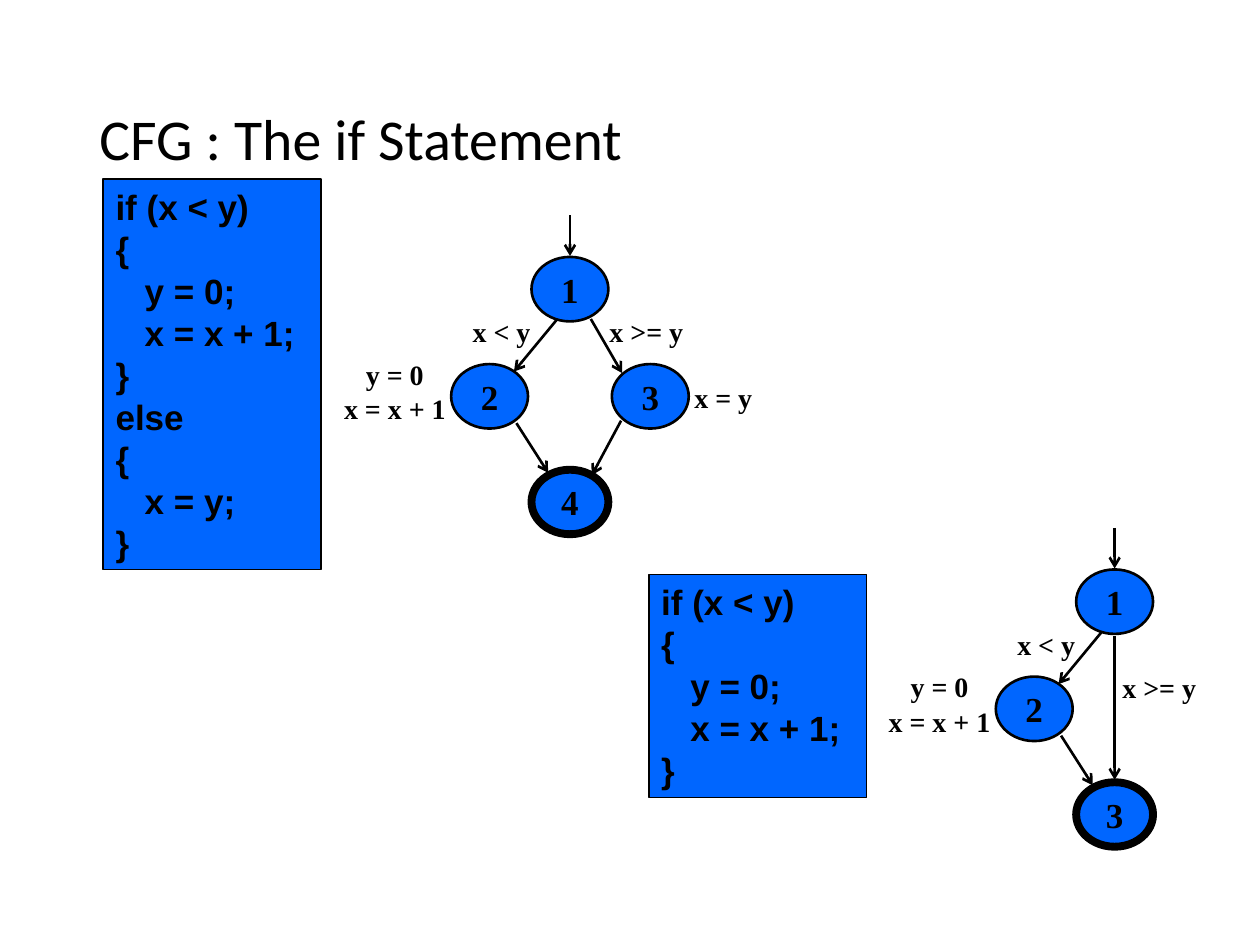
from dataclasses import dataclass

from lxml.etree import SubElement
from pptx import Presentation
from pptx.dml.color import RGBColor
from pptx.enum.shapes import MSO_CONNECTOR as Connector, MSO_SHAPE as Preset
from pptx.enum.text import MSO_ANCHOR as Anchor, MSO_AUTO_SIZE as AutoSize, PP_ALIGN as Align
from pptx.oxml.ns import qn
from pptx.util import Cm, Pt

BLUE = "0066FF"
BLACK = "000000"
SERIF = "Times New Roman"
NODE_WIDTH, NODE_HEIGHT = 1.55, 1.3


@dataclass(frozen=True)
class Node:
    name: str
    x: float
    y: float
    final: bool = False


@dataclass(frozen=True)
class Edge:
    x1: float
    y1: float
    x2: float
    y2: float


@dataclass(frozen=True)
class Label:
    lines: tuple[str, ...]
    x: float
    top: float
    width: float = 2.08
    height: float = 0.94


@dataclass(frozen=True)
class Graph:
    """A flow graph; its parts are placed in cm from the centre of node 1."""
    x: float
    y: float
    nodes: tuple[Node, ...]
    edges: tuple[Edge, ...]
    labels: tuple[Label, ...]


@dataclass(frozen=True)
class CodeBox:
    left: float
    top: float
    height: float
    lines: tuple[str, ...]


START = Node("1", 0, 0)
THEN = Node("2", -1.62, 2.16)
ENTRY_EDGE = Edge(0, -1.49, 0, -0.67)
THEN_EDGES = (Edge(-0.27, 0.62, -1.13, 1.66), Edge(-1.08, 2.7, -0.44, 3.7))
THEN_LABELS = (
    Label(("x < y",), -1.38, 0.39),
    Label(("y = 0", "x = x + 1"), -3.53, 1.54, 2.62, 1.3),
)

GRAPHS = (
    Graph(
        11.49, 5.83,
        (START, THEN, Node("3", 1.62, 2.16), Node("4", 0, 4.29, final=True)),
        (ENTRY_EDGE, *THEN_EDGES, Edge(0.42, 0.6, 1.05, 1.69), Edge(1.03, 2.65, 0.44, 3.75)),
        (*THEN_LABELS, Label(("x >= y",), 1.54, 0.39), Label(("x = y",), 3.09, 1.71)),
    ),
    Graph(
        22.47, 12.13,
        (START, THEN, Node("3", 0, 4.29, final=True)),
        (ENTRY_EDGE, *THEN_EDGES, Edge(0, 0.7, 0, 3.59)),
        (*THEN_LABELS, Label(("x >= y",), 0.9, 1.26)),
    ),
)

IF_CODE = ("if (x < y)", "{", "   y = 0;", "   x = x + 1;", "}")
ELSE_CODE = ("else", "{", "   x = y;", "}")
CODE_BOXES = (
    CodeBox(2.08, 3.61, 7.87, IF_CODE + ELSE_CODE),
    CodeBox(13.08, 11.58, 4.5, IF_CODE),
)


def color(value: str) -> RGBColor:
    return RGBColor.from_string(value)


def write_lines(frame, lines: tuple[str, ...], font: str, size: float,
                align=Align.LEFT, bold: bool = True) -> None:
    for index, line in enumerate(lines):
        paragraph = frame.add_paragraph() if index else frame.paragraphs[0]
        paragraph.alignment = align
        run = paragraph.add_run()
        run.text = line
        run.font.name = font
        run.font.size = Pt(size)
        run.font.bold = bold
        run.font.color.rgb = color(BLACK)


def add_blue_shape(slide, preset, left: float, top: float, width: float,
                   height: float, line_width: float):
    shape = slide.shapes.add_shape(preset, Cm(left), Cm(top), Cm(width), Cm(height))
    shape.shadow.inherit = False
    shape.fill.solid()
    shape.fill.fore_color.rgb = color(BLUE)
    shape.line.color.rgb = color(BLACK)
    shape.line.width = Pt(line_width)
    return shape


def add_code_box(slide, box: CodeBox) -> None:
    shape = add_blue_shape(slide, Preset.RECTANGLE, box.left, box.top, 4.39, box.height, 1)
    shape.text_frame.vertical_anchor = Anchor.TOP
    write_lines(shape.text_frame, box.lines, "Arial", 20)


def add_node(slide, graph: Graph, node: Node) -> None:
    shape = add_blue_shape(
        slide, Preset.OVAL,
        graph.x + node.x - NODE_WIDTH / 2, graph.y + node.y - NODE_HEIGHT / 2,
        NODE_WIDTH, NODE_HEIGHT, 4.5 if node.final else 1.5)
    frame = shape.text_frame
    frame.margin_left = frame.margin_right = frame.margin_top = frame.margin_bottom = 0
    frame.vertical_anchor = Anchor.MIDDLE
    write_lines(frame, (node.name,), SERIF, 20, Align.CENTER)


def add_edge(slide, graph: Graph, edge: Edge) -> None:
    connector = slide.shapes.add_connector(
        Connector.STRAIGHT,
        Cm(graph.x + edge.x1), Cm(graph.y + edge.y1),
        Cm(graph.x + edge.x2), Cm(graph.y + edge.y2))
    connector.line.color.rgb = color(BLACK)
    connector.line.width = Pt(1.5)
    SubElement(connector.line._get_or_add_ln(), qn("a:tailEnd"), type="arrow")
    SubElement(connector._element.spPr, qn("a:effectLst"))


def add_label(slide, graph: Graph, label: Label) -> None:
    box = slide.shapes.add_textbox(
        Cm(graph.x + label.x - label.width / 2), Cm(graph.y + label.top),
        Cm(label.width), Cm(label.height))
    frame = box.text_frame
    frame.word_wrap = True
    write_lines(frame, label.lines, SERIF, 16, Align.CENTER)
    if len(label.lines) > 1:
        for paragraph in frame.paragraphs:
            paragraph.line_spacing = 0.5
        for paragraph in frame.paragraphs[1:]:
            paragraph.space_before = Pt(10)


def add_graph(slide, graph: Graph) -> None:
    for node in graph.nodes:
        add_node(slide, graph, node)
    for edge in graph.edges:
        add_edge(slide, graph, edge)
    for label in graph.labels:
        add_label(slide, graph, label)


def set_title(slide, text: str) -> None:
    title = slide.shapes.title
    title.left, title.top, title.width, title.height = Cm(1.75), Cm(1.02), Cm(21.92), Cm(3.68)
    frame = title.text_frame
    frame.auto_size = AutoSize.NONE
    frame.vertical_anchor = Anchor.MIDDLE
    write_lines(frame, (text,), "Calibri", 33, bold=False)
    frame.paragraphs[0].line_spacing = 0.9


def main() -> None:
    presentation = Presentation()
    presentation.slide_width, presentation.slide_height = Cm(25.4), Cm(19.05)
    slide = presentation.slides.add_slide(presentation.slide_layouts.get_by_name("Title Only"))
    set_title(slide, "CFG : The if Statement")
    for box, graph in zip(CODE_BOXES, GRAPHS):
        add_code_box(slide, box)
        add_graph(slide, graph)
    presentation.save("out.pptx")


if __name__ == "__main__":
    main()
